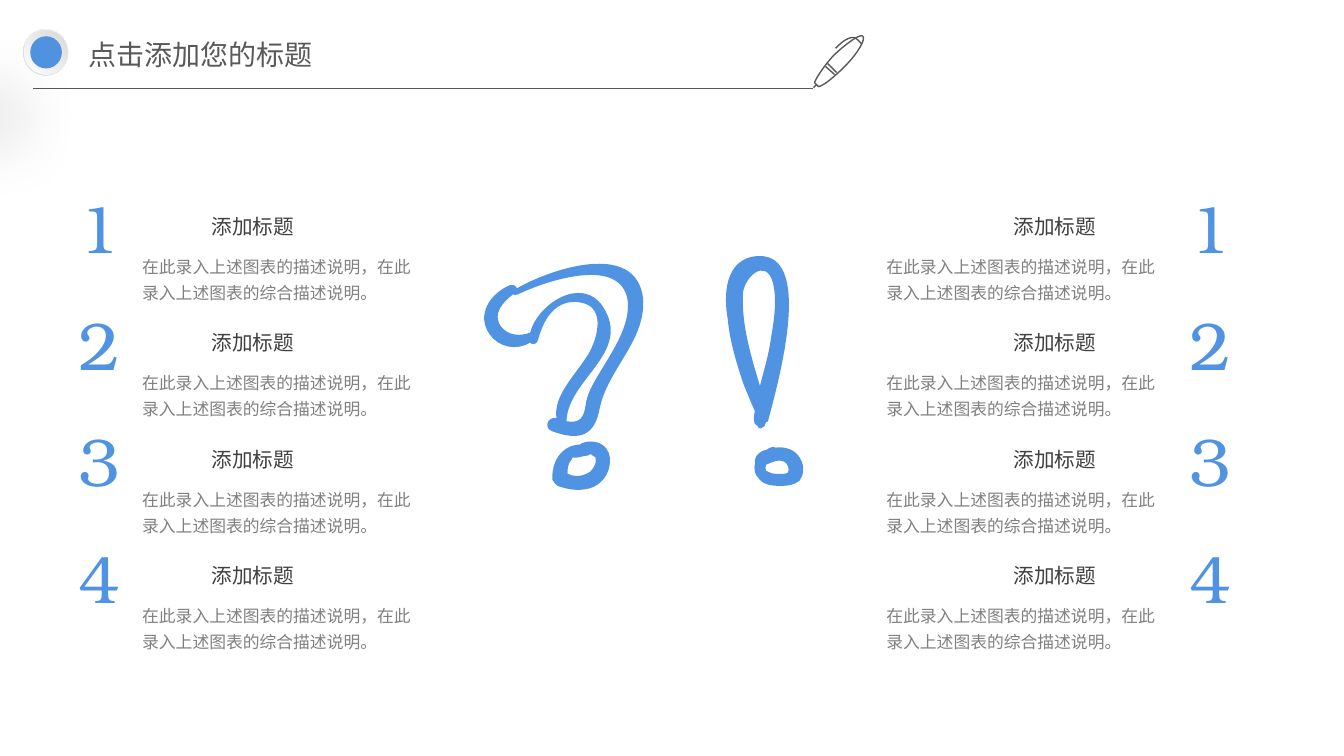
from lxml import etree
from pptx import Presentation
from pptx.dml.color import RGBColor
from pptx.enum import shapes, text
from pptx.oxml import ns
from pptx.util import Pt

BLUE = RGBColor(0x50, 0x93, 0xE2)
BADGE_BLUE = RGBColor(0x50, 0x92, 0xE0)
INK = RGBColor(0x59, 0x59, 0x59)
DARK = RGBColor(0x40, 0x40, 0x40)
GREY = RGBColor(0x80, 0x80, 0x80)
SILVER = RGBColor(0xD9, 0xD9, 0xD9)
WHITE = RGBColor(0xFF, 0xFF, 0xFF)
NEAR_WHITE = RGBColor(0xFE, 0xFE, 0xFE)

SANS = "Noto Sans CJK SC"
TITLE_FONT = "Noto Sans CJK JP"
SERIF = "TeX Gyre Bonum"

HEADING = "添加标题"
DESCRIPTION = "在此录入上述图表的描述说明，在此录入上述图表的综合描述说明。"
ITEM_TOP, ITEM_PITCH, ITEM_COUNT = 129.6, 83.2, 4

# Outlines: a start point, then three points for each Bezier curve
GRID = 0.72  # points per outline unit
QUESTION_HOOK = [
    (638, 296, 631, 238, 546, 267, 513, 286, 511, 283, 509, 282, 506, 283,
     486, 291, 472, 313, 486, 332, 495, 345, 513, 348, 526, 340,
     527, 342, 532, 342, 533, 339, 533, 338, 535, 335, 535, 333,
     535, 332, 535, 332, 535, 332, 536, 332, 536, 331, 536, 330,
     542, 313, 553, 297, 575, 300, 604, 304, 591, 341, 582, 354,
     569, 374, 549, 393, 552, 415, 543, 413, 539, 425, 548, 428,
     576, 438, 590, 432, 595, 405, 603, 366, 641, 338, 638, 296),
    (589, 380, 585, 387, 582, 394, 581, 402, 579, 416, 574, 420, 562, 418,
     563, 376, 628, 350, 598, 304, 577, 273, 533, 302, 526, 330,
     516, 334, 504, 333, 497, 324, 488, 311, 499, 300, 509, 292,
     510, 293, 511, 293, 514, 292, 541, 279, 619, 252, 623, 301,
     624, 329, 602, 356, 589, 380)]
QUESTION_DOT = [
    (597, 441, 591, 437, 581, 437, 575, 441, 557, 442, 547, 458, 548, 476,
     550, 478, 550, 480, 553, 482, 564, 486, 577, 488, 589, 483,
     599, 478, 604, 469, 605, 460, 606, 453, 604, 445, 597, 441),
    (591, 459, 589, 464, 587, 468, 582, 470, 576, 473, 569, 473, 563, 470,
     563, 466, 563, 460, 567, 456, 567, 455, 568, 454, 568, 454,
     569, 454, 570, 454, 571, 454, 575, 454, 579, 452, 583, 452,
     586, 450, 587, 450, 588, 452, 589, 452, 589, 453, 591, 454,
     591, 456, 591, 458, 591, 459)]
EXCLAMATION_STEM = [
    (752, 254, 718, 256, 718, 295, 722, 316, 724, 339, 731, 361, 738, 382,
     739, 384, 744, 397, 749, 408, 748, 412, 748, 414, 748, 417,
     748, 419, 749, 422, 752, 423, 752, 424, 753, 426, 755, 425,
     758, 424, 760, 422, 760, 419, 762, 418, 762, 418, 762, 418,
     768, 393, 811, 251, 752, 254),
    (737, 293, 737, 276, 760, 254, 767, 281, 771, 298, 768, 318, 765, 335,
     763, 351, 758, 367, 754, 383, 745, 353, 736, 323, 737, 293)]
EXCLAMATION_DOT = [
    (788, 448, 783, 445, 777, 443, 770, 444, 770, 444, 769, 444, 769, 444,
     767, 443, 766, 443, 765, 444, 764, 444, 762, 445, 761, 446,
     755, 447, 750, 451, 749, 456, 749, 457, 749, 458, 749, 459,
     748, 465, 748, 470, 753, 475, 758, 482, 769, 482, 776, 482,
     782, 482, 788, 481, 793, 477, 800, 468, 797, 455, 788, 448),
    (782, 468, 782, 469, 781, 470, 778, 470, 772, 470, 767, 471, 762, 468,
     759, 467, 759, 465, 760, 461, 766, 459, 771, 455, 778, 458,
     782, 460, 783, 466, 782, 468)]
PEN = [
    (828, 74, 819, 66, 819, 66, 819, 66),
    (821, 63, 830, 72, 830, 72, 830, 72),
    (856, 36, 854, 33, 841, 42, 827, 55, 817, 66, 810, 77, 808, 82,
     812, 86, 812, 86, 812, 86, 817, 85, 827, 77, 838, 66,
     851, 53, 859, 39, 856, 36),
    (810, 84, 807, 87, 807, 87, 807, 87),
    (855, 44, 855, 44, 852, 40, 849, 38, 849, 38, 843, 33, 829, 48)]


def curve_segments(sp):
    """Turn every three straight segments into one cubic Bezier curve."""
    lines = list(sp._element.iter(ns.qn("a:lnTo")))
    for i in range(0, len(lines), 3):
        curve = etree.Element(ns.qn("a:cubicBezTo"))
        lines[i].addprevious(curve)
        for line in lines[i:i + 3]:
            curve.append(line[0])
            line.getparent().remove(line)


def add_outline(slide, contours, fill=None, line=None):
    builder = None
    for contour in contours:
        start, *rest = [(Pt(x * GRID), Pt(y * GRID))
                        for x, y in zip(contour[::2], contour[1::2])]
        if builder is None:
            builder = slide.shapes.build_freeform(*start)
        else:
            builder.move_to(*start)
        builder.add_line_segments(rest, close=start == rest[-1])
    sp = builder.convert_to_shape()
    curve_segments(sp)
    sp.shadow.inherit = False
    if fill is None:
        sp.fill.background()
    else:
        sp.fill.solid()
        sp.fill.fore_color.rgb = fill
    if line is None:
        sp.line.fill.background()
    else:
        sp.line.color.rgb = line
        sp.line.width = Pt(1)
    return sp


def write(tf, content, size, font, color, align=text.PP_ALIGN.LEFT):
    p = tf.paragraphs[0]
    p.text = content
    p.alignment = align
    p.font.size, p.font.name = Pt(size), font
    p.font.color.rgb = color
    east_asian = etree.SubElement(p._p.pPr.find(ns.qn("a:defRPr")), ns.qn("a:ea"))
    east_asian.set("typeface", font)
    return p


def add_label(slide, box, *style, wrap=True, **options):
    sp = slide.shapes.add_textbox(*map(Pt, box))
    tf = sp.text_frame
    tf.word_wrap = wrap
    tf.auto_size = text.MSO_AUTO_SIZE.SHAPE_TO_FIT_TEXT
    return sp, write(tf, *style, **options)


def add_items(slide, number_left, heading_left, description_left):
    for i in range(ITEM_COUNT):
        top = ITEM_TOP + i * ITEM_PITCH
        description, p = add_label(slide, (description_left, top + 45.7, 213, 43),
                                   DESCRIPTION, 12, SANS, GREY)
        p.line_spacing = 1.3
        heading, _ = add_label(slide, (heading_left, top + 19.4, 73.4, 25), HEADING, 14.7,
                               SANS, DARK, wrap=False, align=text.PP_ALIGN.CENTER)
        slide.shapes.add_group_shape([description, heading])
        add_label(slide, (number_left, top, 45.4, 65.5), str(i + 1), 48, SERIF, BLUE)


def add_disc(slide, box, *colors):
    """Fill with one colour, or with two spreading from the top right."""
    sp = slide.shapes.add_shape(shapes.MSO_SHAPE.OVAL, *map(Pt, box))
    sp.line.fill.background()
    sp.shadow.inherit = False
    if len(colors) == 1:
        sp.fill.solid()
        sp.fill.fore_color.rgb = colors[0]
        return sp
    sp.fill.gradient()
    for stop, color in zip(sp.fill.gradient_stops, colors):
        stop.color.rgb = color
    gradient = sp._element.spPr.find(ns.qn("a:gradFill"))
    gradient.remove(gradient.find(ns.qn("a:lin")))
    circle = etree.SubElement(gradient, ns.qn("a:path"), path="circle")
    etree.SubElement(circle, ns.qn("a:fillToRect"), l="100000", b="100000")
    return sp


def add_badge(slide):
    rim = add_disc(slide, (16.6, 20.9, 32, 33), WHITE, SILVER)
    effects = rim._element.spPr.find(ns.qn("a:effectLst"))
    shadow = etree.SubElement(effects, ns.qn("a:outerShdw"), blurRad=str(Pt(50)),
                              dist=str(Pt(60)), dir=str(130 * 60000), algn="ctr",
                              rotWithShape="0")
    black = etree.SubElement(shadow, ns.qn("a:srgbClr"), val="000000")
    etree.SubElement(black, ns.qn("a:alpha"), val="25000")
    ring = add_disc(slide, (17.3, 21.6, 31, 31.7), SILVER, NEAR_WHITE)
    core = add_disc(slide, (21.6, 25.9, 22.6, 23), BADGE_BLUE)
    slide.shapes.add_group_shape([rim, ring, core])


def add_title(slide, content):
    sp = slide.shapes.title
    sp.left, sp.top, sp.width, sp.height = map(Pt, (53.4, 22.2, 190.8, 33.8))
    tf = sp.text_frame
    tf.margin_left = tf.margin_right = Pt(9.6)
    tf.margin_top = tf.margin_bottom = Pt(4.8)
    tf.word_wrap = True
    tf.auto_size = text.MSO_AUTO_SIZE.SHAPE_TO_FIT_TEXT
    tf.vertical_anchor = text.MSO_ANCHOR.TOP
    write(tf, content, 20, TITLE_FONT, INK)


def add_rule(slide, left, right, y):
    line = slide.shapes.add_connector(shapes.MSO_CONNECTOR.STRAIGHT,
                                      Pt(left), Pt(y), Pt(right), Pt(y))
    line.line.color.rgb = INK
    line.line.width = Pt(0.5)
    etree.SubElement(line._element.spPr, ns.qn("a:effectLst"))


def main():
    prs = Presentation()
    prs.slide_width, prs.slide_height = Pt(960), Pt(540)
    slide = prs.slides.add_slide(prs.slide_layouts[5])

    # Header
    add_title(slide, "点击添加您的标题")
    add_rule(slide, 23.8, 581, 62.9)
    add_outline(slide, PEN, line=INK)
    add_badge(slide)

    # Question and exclamation marks
    for mark in ((QUESTION_HOOK, QUESTION_DOT), (EXCLAMATION_STEM, EXCLAMATION_DOT)):
        slide.shapes.add_group_shape([add_outline(slide, part, fill=BLUE) for part in mark])

    # Numbered items on both sides
    add_items(slide, number_left=49, heading_left=144, description_left=94.5)
    add_items(slide, number_left=842.4, heading_left=716.8, description_left=626.1)

    prs.save("out.pptx")


if __name__ == "__main__":
    main()
